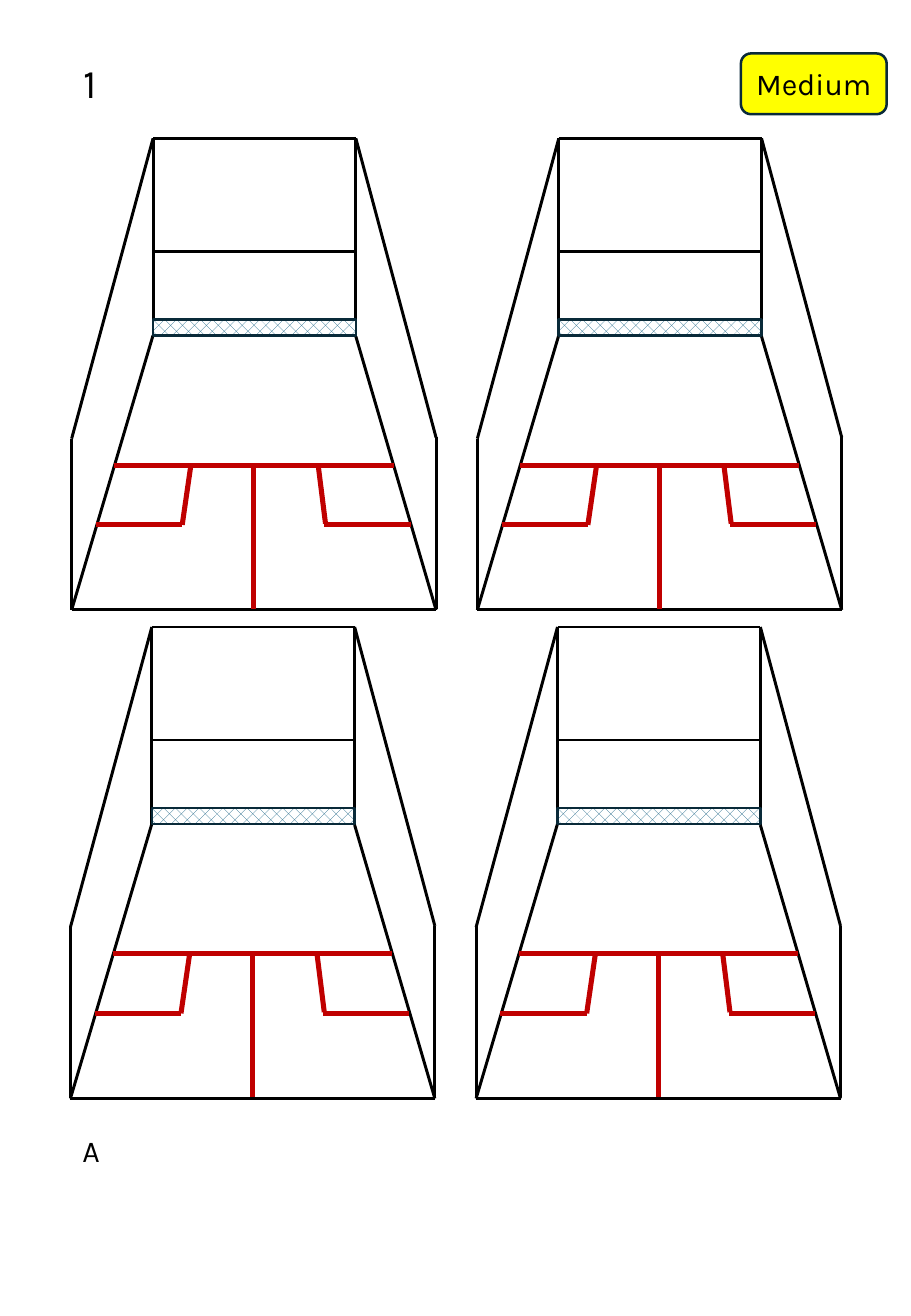
"""Build a practice sheet with a grid of four squash courts."""
from dataclasses import dataclass
from itertools import product

from lxml.etree import SubElement
from pptx import Presentation
from pptx.dml.color import RGBColor
from pptx.enum.dml import MSO_PATTERN
from pptx.enum.shapes import MSO_CONNECTOR, MSO_SHAPE
from pptx.enum.text import MSO_ANCHOR, MSO_AUTO_SIZE, PP_ALIGN
from pptx.oxml.ns import qn
from pptx.util import Inches, Pt

BLACK, RED, NAVY = "000000", "C00000", "092A39"
BLUE, WHITE, YELLOW = "156082", "FFFFFF", "FFFF00"
COL_STEP, ROW_STEP, ROW_SHIFT = 3.34, 4.02, -0.01


@dataclass(frozen=True)
class Line:
    x1: float
    y1: float
    x2: float
    y2: float
    ink: str = BLACK
    width: float = 1.75


@dataclass(frozen=True)
class Box:
    x: float
    y: float
    w: float
    h: float


WALLS = [
    Line(0.59, 5.02, 1.26, 2.76),
    Line(3.59, 5.02, 2.93, 2.77),
    Line(3.59, 5.02, 0.59, 5.02),
    Line(1.26, 2.07, 2.93, 2.07),
    Line(1.26, 1.14, 2.93, 1.14),
    Line(2.93, 2.77, 2.93, 1.14),
    Line(0.59, 5.02, 0.59, 3.61),
    Line(0.59, 3.61, 1.26, 1.14),
    Line(1.26, 2.77, 1.26, 1.14),
    Line(3.59, 5.01, 3.59, 3.6),
    Line(3.59, 3.6, 2.93, 1.14),
]
TIN = Box(1.26, 2.63, 1.67, 0.13)
MARKS = [
    Line(0.94, 3.83, 3.24, 3.83, RED, 3),
    Line(2.09, 3.84, 2.09, 5.01, RED, 3),
    Line(0.79, 4.32, 1.5, 4.32, RED, 3),
    Line(2.67, 4.32, 3.38, 4.32, RED, 3),
    Line(1.57, 3.84, 1.5, 4.32, RED, 3),
    Line(2.62, 3.83, 2.68, 4.31, RED, 3),
]


def color(code: str) -> RGBColor:
    return RGBColor.from_string(code)


def draw_line(slide, line: Line, dx: float, dy: float) -> None:
    ends = (line.x1 + dx, line.y1 + dy, line.x2 + dx, line.y2 + dy)
    link = slide.shapes.add_connector(MSO_CONNECTOR.STRAIGHT, *map(Inches, ends))
    link.line.color.rgb = color(line.ink)
    link.line.width = Pt(line.width)
    SubElement(link._element.spPr, qn("a:effectLst"))


def draw_box(slide, kind, box: Box, dx: float = 0, dy: float = 0):
    place = (box.x + dx, box.y + dy, box.w, box.h)
    shape = slide.shapes.add_shape(kind, *map(Inches, place))
    shape.shadow.inherit = False
    shape.line.color.rgb = color(NAVY)
    shape.line.width = Pt(1.5)
    return shape


def draw_court(slide, dx: float, dy: float) -> None:
    for wall in WALLS:
        draw_line(slide, wall, dx, dy)
    fill = draw_box(slide, MSO_SHAPE.RECTANGLE, TIN, dx, dy).fill
    fill.patterned()
    fill.pattern = MSO_PATTERN.PERCENT_30
    fill.fore_color.rgb = color(BLUE)
    fill.back_color.rgb = color(WHITE)
    for mark in MARKS:
        draw_line(slide, mark, dx, dy)


def write(shape, text: str, *, size: float = 18, align=PP_ALIGN.LEFT,
          anchor=MSO_ANCHOR.TOP) -> None:
    frame = shape.text_frame
    frame.vertical_anchor = anchor
    par = frame.paragraphs[0]
    par.alignment = align
    run = par.add_run()
    run.text = text
    run.font.name = "Karla"
    run.font.size = Pt(size)
    run.font.color.rgb = color(BLACK)


def add_label(slide, text: str, box: Box, size: float) -> None:
    label = slide.shapes.add_textbox(*map(Inches, (box.x, box.y, box.w, box.h)))
    label.text_frame.word_wrap = False
    label.text_frame.auto_size = MSO_AUTO_SIZE.SHAPE_TO_FIT_TEXT
    write(label, text, size=size)


def main() -> None:
    deck = Presentation()
    deck.slide_width, deck.slide_height = Inches(7.5), Inches(10.83)
    slide = deck.slides.add_slide(deck.slide_layouts[6])

    badge = draw_box(slide, MSO_SHAPE.ROUNDED_RECTANGLE, Box(6.1, 0.44, 1.2, 0.5))
    badge.fill.solid()
    badge.fill.fore_color.rgb = color(YELLOW)
    write(badge, "Medium", align=PP_ALIGN.CENTER, anchor=MSO_ANCHOR.MIDDLE)

    for row, col in product(range(2), repeat=2):
        draw_court(slide, col * COL_STEP + row * ROW_SHIFT, row * ROW_STEP)

    add_label(slide, "1", Box(0.59, 0.43, 0.38, 0.5), 24)
    add_label(slide, "A", Box(0.58, 9.27, 0.35, 0.4), 18)
    deck.save("out.pptx")


if __name__ == "__main__":
    main()
